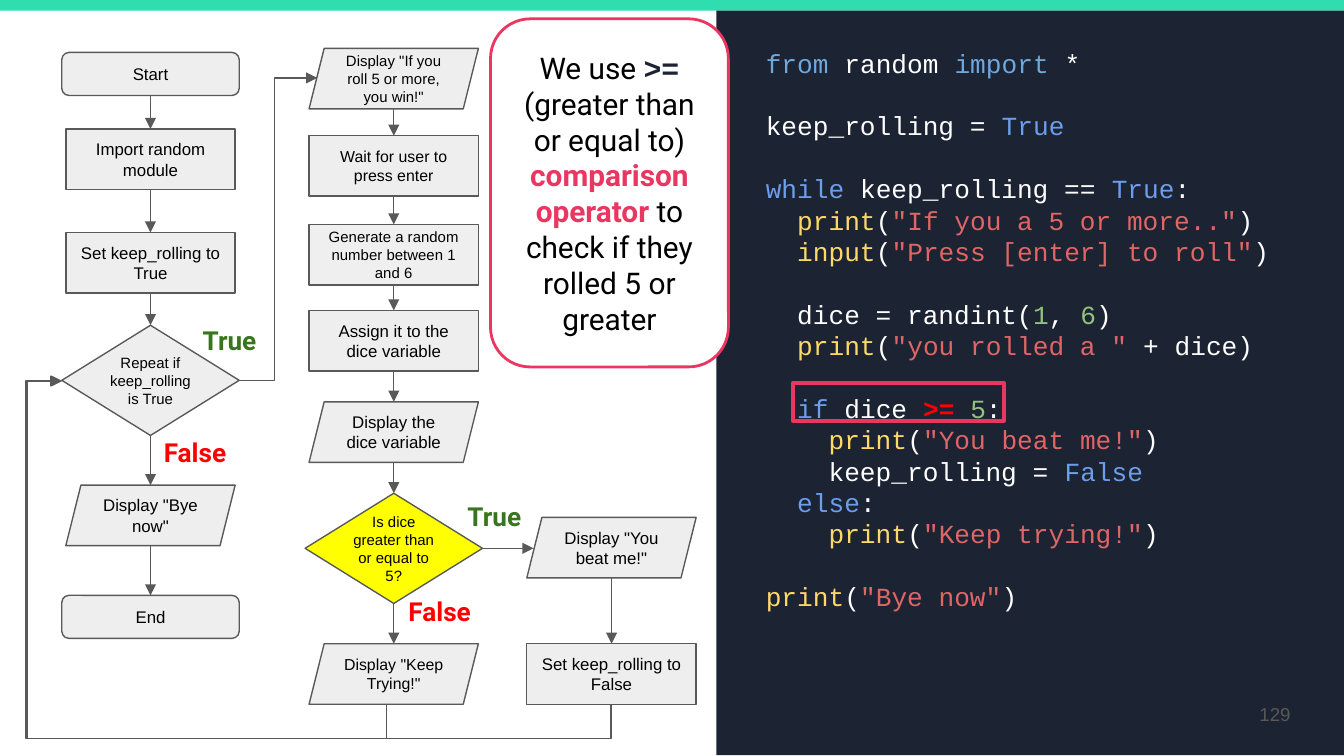
from lxml.etree import SubElement
from pptx import Presentation
from pptx.dml.color import RGBColor
from pptx.enum.shapes import MSO_CONNECTOR, MSO_SHAPE
from pptx.enum.text import MSO_ANCHOR, PP_ALIGN
from pptx.oxml.ns import qn
from pptx.util import Pt

PX = 9144
THEME = {
    "color": {
        "mint": "30DDAE", "navy": "1C2333", "pink": "E93761", "white": "FFFFFF",
        "black": "000000", "grey": "595959", "node": "EEEEEE", "light": "EFEFEF",
        "yellow": "FFFF00", "sky": "6FA8DC", "blue": "6D9EEB", "gold": "FFD966",
        "rose": "E06666", "leaf": "93C47D", "red": "FF0000", "green": "38761D",
    },
    "size": {"code": 14, "code line": 16.8, "callout": 16, "label": 14, "node": 9,
             "snug": 8.5, "small": 8, "number": 10},
}
COLOR = {name: RGBColor.from_string(value) for name, value in THEME["color"].items()}
SIZE = {name: Pt(value) for name, value in THEME["size"].items()}

deck = Presentation()
deck.slide_width = 1000 * PX
deck.slide_height = deck.slide_width * 9 // 16
page = deck.slides.add_slide(deck.slide_layouts[6])


def add_box(frame, kind=None, fill=None, line=None, width=0.75, inset=10):
    place = [value * PX for value in frame]
    if kind is None:
        box = page.shapes.add_textbox(*place)
    else:
        box = page.shapes.add_shape(kind, *place)
        box.shadow.inherit = False
        if fill:
            box.fill.solid()
            box.fill.fore_color.rgb = COLOR[fill]
        else:
            box.fill.background()
        if line:
            box.line.color.rgb = COLOR[line]
            box.line.width = Pt(width)
        else:
            box.line.fill.background()
        box.text_frame.vertical_anchor = MSO_ANCHOR.MIDDLE
    text = box.text_frame
    text.word_wrap = True
    text.margin_left = text.margin_right = inset * PX
    text.margin_top = text.margin_bottom = inset * PX
    return box


def write(para, spans, size, font, align=PP_ALIGN.LEFT):
    para.alignment = align
    for words, color, *bold in spans:
        span = para.add_run()
        span.text = words
        span.font.size = SIZE[size]
        span.font.name = bold[1] if len(bold) > 1 else font
        span.font.bold = bool(bold and bold[0])
        span.font.color.rgb = COLOR[color]


add_box((-1, 0, 1002, 8), MSO_SHAPE.RECTANGLE, "mint")
add_box((533, 8, 467, 554), MSO_SHAPE.RECTANGLE, "navy")

code = [
    [("from", "sky"), (" random ", "white"), ("import", "sky"), (" *", "white")],
    [],
    [("keep_rolling = ", "white"), ("True", "blue")],
    [],
    [("while", "blue"), (" keep_rolling == ", "white"), ("True", "blue"), (":", "white")],
    [("  print", "gold"), ("(", "white"), ('"If you a 5 or more.."', "rose"), (")", "white")],
    [("  input", "gold"), ("(", "white"), ('"Press [enter] to roll"', "rose"), (")", "white")],
    [],
    [("  dice = randint(", "white"), ("1", "leaf"), (", ", "white"), ("6", "leaf"), (")", "white")],
    [("  print", "gold"), ("(", "white"), ('"you rolled a "', "rose"), (" + dice)", "white")],
    [],
    [("  if", "blue"), (" dice ", "white"), (">= ", "red", True), ("5", "leaf"), (":", "white")],
    [("    print", "gold"), ("(", "white"), ('"You beat me!"', "rose"), (")", "white")],
    [("    keep_rolling = ", "white"), ("False", "blue")],
    [("  else", "blue"), (":", "white")],
    [("    print", "gold"), ("(", "white"), ('"Keep trying!"', "rose"), (")", "white")],
    [],
    [("print", "gold"), ("(", "white"), ('"Bye now"', "rose"), (")", "white")],
]
listing = add_box((560, 25, 410, 485)).text_frame
for index, spans in enumerate(code):
    if spans:
        para = listing.add_paragraph() if index else listing.paragraphs[0]
        para.line_spacing = SIZE["code line"]
        if index and not code[index - 1]:
            para.space_before = SIZE["code line"]
        write(para, spans, "code", "Courier New")
add_box((590, 285, 157, 28), MSO_SHAPE.RECTANGLE, line="pink", width=2.25)

number = add_box((910, 510, 60, 43)).text_frame
number.vertical_anchor = MSO_ANCHOR.MIDDLE
write(number.paragraphs[0], [("129", "grey")], "number", "Arial", PP_ALIGN.RIGHT)

STEP, DATA = MSO_SHAPE.RECTANGLE, MSO_SHAPE.PARALLELOGRAM
CHOICE, ENDPOINT = MSO_SHAPE.FLOWCHART_DECISION, MSO_SHAPE.ROUNDED_RECTANGLE
node_size = {STEP: (126, 45), DATA: (126, 45), CHOICE: (132, 82), ENDPOINT: (132, 32)}
LEFT, MIDDLE, RIGHT = 112, 293, 455
nodes = [
    (ENDPOINT, LEFT, 39, "Start", "node", "node"),
    (STEP, LEFT, 96, "Import random module", "node", "node"),
    (STEP, LEFT, 173, "Set keep_rolling to True", "node", "node"),
    (CHOICE, LEFT, 242, "Repeat if keep_rolling is True", "small", "node"),
    (DATA, LEFT, 361, 'Display "Bye now"', "node", "node"),
    (ENDPOINT, LEFT, 443, "End", "node", "node"),
    (DATA, MIDDLE, 36, 'Display "If you roll 5 or more, you win!"', "small", "node"),
    (STEP, MIDDLE, 101, "Wait for user to press enter", "snug", "node"),
    (STEP, MIDDLE, 167, "Generate a random number between 1 and 6", "small", "light"),
    (STEP, MIDDLE, 231, "Assign it to the dice variable", "node", "node"),
    (DATA, MIDDLE, 299, "Display the dice variable", "node", "node"),
    (CHOICE, MIDDLE, 367, "Is dice greater than or equal to 5?", "small", "yellow"),
    (DATA, MIDDLE, 479, 'Display "Keep Trying!"', "snug", "node"),
    (DATA, RIGHT, 385, 'Display "You beat me!"', "node", "node"),
    (STEP, RIGHT, 479, "Set keep_rolling to False", "node", "node"),
]
for kind, center, top, words, size, fill in nodes:
    width, height = node_size[kind]
    box = add_box((center - width // 2, top, width, height), kind, fill, "grey",
                  inset=0 if kind == CHOICE else 10)
    write(box.text_frame.paragraphs[0], [(words, "black")], size, "Arial", PP_ALIGN.CENTER)

straight = [(359, 408, 397, 408)]
for upper, lower in zip(nodes, nodes[1:]):
    if upper[1] == lower[1]:
        straight.append((upper[1], upper[2] + node_size[upper[0]][1], lower[1], lower[2]))
links = [(ends, None, 0, []) for ends in straight] + [
    ((178, 58, 236, 283), "bentConnector3", 180, [45200]),
    ((47, 283, 287, 524), "bentConnector4", 90, [-10800, 110800]),
    ((130, 199, 370, 608), "bentConnector4", 90, [-10800, 106400]),
]
for ends, preset, turn, bends in links:
    style = MSO_CONNECTOR.ELBOW if preset else MSO_CONNECTOR.STRAIGHT
    link = page.shapes.add_connector(style, *[value * PX for value in ends])
    link.line.color.rgb = COLOR["grey"]
    link.line.width = Pt(0.75)
    properties = link.element.spPr
    SubElement(properties.find(qn("a:ln")), qn("a:tailEnd"), type="triangle")
    SubElement(properties, qn("a:effectLst"))
    if preset:
        frame = properties.find(qn("a:xfrm"))
        frame.set("rot", str(turn * 60000))
        frame.set("flipH", "1")
        geometry = properties.find(qn("a:prstGeom"))
        geometry.set("prst", preset)
        guides = geometry.find(qn("a:avLst"))
        for order, bend in enumerate(bends, 1):
            SubElement(guides, qn("a:gd"), name=f"adj{order}", fmla=f"val {bend}")

labels = [(141, 231, 65, "True", "green"), (112, 315, 72, "False", "red"),
          (294, 433, 72, "False", "red"), (338, 362, 65, "True", "green")]
for left, top, width, words, color in labels:
    box = add_box((left, top, width, 52))
    write(box.text_frame.paragraphs[0], [(words, color, True)], "label", "Roboto")

callout = add_box((365, 14, 177, 259), ENDPOINT, "white", "pink", 1.5)
write(callout.text_frame.paragraphs[0], [
    ("We use ", "black"), (">= ", "navy", True, "Courier New"),
    ("(greater than or equal to) ", "black"), ("comparison operator", "pink", True),
    (" to check if they rolled 5 or greater", "black"),
], "callout", "Roboto", PP_ALIGN.CENTER)

deck.save("out.pptx")
